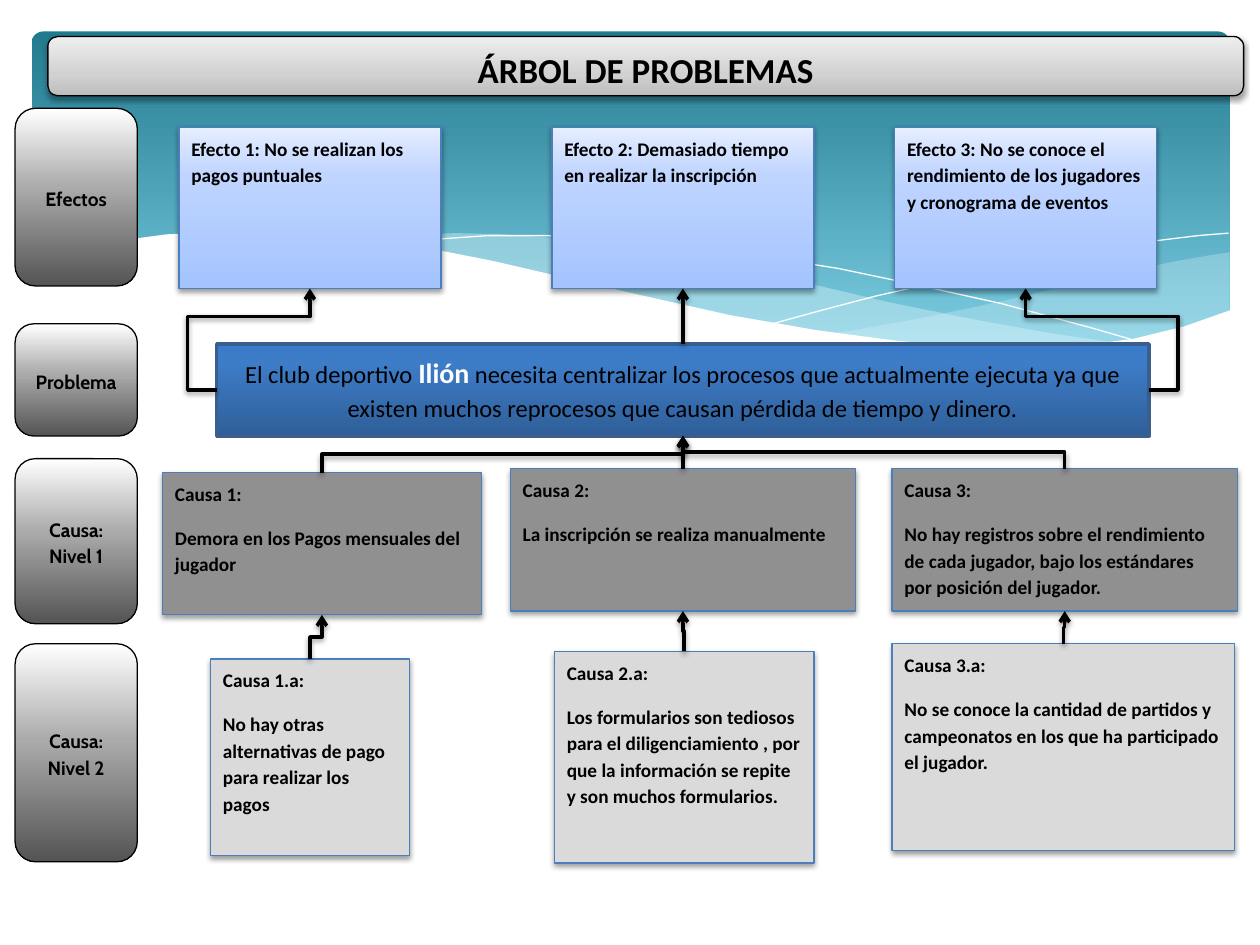
from dataclasses import dataclass

from lxml import etree
from pptx import Presentation
from pptx.dml.color import RGBColor
from pptx.enum.shapes import MSO_CONNECTOR, MSO_SHAPE
from pptx.enum.text import MSO_ANCHOR, PP_ALIGN
from pptx.oxml.ns import qn
from pptx.util import Inches, Pt

ELBOW = MSO_CONNECTOR.ELBOW
ROUNDED, PROCESS = MSO_SHAPE.ROUNDED_RECTANGLE, MSO_SHAPE.FLOWCHART_PROCESS
TITLE_BAR = MSO_SHAPE.FLOWCHART_ALTERNATE_PROCESS
LEFT, CENTER = PP_ALIGN.LEFT, PP_ALIGN.CENTER
TOP, MIDDLE = MSO_ANCHOR.TOP, MSO_ANCHOR.MIDDLE


@dataclass(frozen=True)
class Theme:
    # Gradients run from top to bottom as (position, colour)
    banner: tuple = ((0, "227A8F"), (90, "7ACBE0"))
    label: tuple = ((0, "FFFFFF"), (44, "ABABAB"), (100, "545454"))
    effect: tuple = ((0, "E6EEFF"), (30, "BFD4FF"), (100, "A4C4FF"))
    problem: tuple = ((0, "3A7CCB"), (20, "3D7CC7"), (100, "2F5F99"))
    title: tuple = ((0, "EEEEEE"), (65, "D1D1D1"), (100, "BDBDBD"))
    cause: str = "909090"
    subcause: str = "DADADA"
    wave: str = "DEF5FA"
    white: str = "FFFFFF"
    black: str = "000000"
    box_line: str = "4B7EBC"
    problem_line: str = "3A5F8C"
    body_font: str = "Calibri"
    label_font: str = "Cabin"
    small: int = 11
    medium: int = 14
    large: int = 16
    heading: int = 20


def write(frame, paragraphs, *, size, font, color, bold=True, align=LEFT, anchor=TOP):
    """Fill a frame; a paragraph is a string or a list of (text, overrides)."""
    frame.word_wrap = True
    frame.vertical_anchor = anchor
    for index, content in enumerate(paragraphs):
        paragraph = frame.paragraphs[0] if index == 0 else frame.add_paragraph()
        paragraph.alignment = align
        paragraph.line_spacing = 1.15
        paragraph.space_after = Pt(10)
        runs = [(content, {})] if isinstance(content, str) else content
        for text, overrides in runs:
            look = {"size": size, "color": color, "bold": bold, **overrides}
            run = paragraph.add_run()
            run.text = text
            run.font.name = font
            run.font.size = Pt(look["size"])
            run.font.bold = look["bold"]
            run.font.color.rgb = RGBColor.from_string(look["color"])


class TreeSlide:
    def __init__(self, slide, theme):
        self.shapes = slide.shapes
        self.theme = theme

    def shadow(self, shape):
        properties = shape._element.spPr
        effects = properties.find(qn("a:effectLst"))
        if effects is None:
            effects = etree.SubElement(properties, qn("a:effectLst"))
        outer = etree.SubElement(effects, qn("a:outerShdw"), blurRad=str(Pt(3.1)),
                                 dist=str(Pt(1.6)), dir="5400000", rotWithShape="0")
        color = etree.SubElement(outer, qn("a:srgbClr"), val=self.theme.black)
        etree.SubElement(color, qn("a:alpha"), val="38000")

    def paint(self, shape, fill, line=None, width=0.75, alpha=None):
        shape.shadow.inherit = False
        if fill is None:
            shape.fill.background()
        elif isinstance(fill, str):
            shape.fill.solid()
            shape.fill.fore_color.rgb = RGBColor.from_string(fill)
            if alpha:
                color = shape._element.spPr.find(qn("a:solidFill"))[0]
                etree.SubElement(color, qn("a:alpha"), val=str(alpha * 1000))
        else:
            shape.fill.gradient()
            shape.fill.gradient_angle = 270
            stops = shape._element.spPr.find(".//" + qn("a:gsLst"))
            for stop in list(stops):
                stops.remove(stop)
            for position, value in fill:
                stop = etree.SubElement(stops, qn("a:gs"), pos=str(position * 1000))
                etree.SubElement(stop, qn("a:srgbClr"), val=value)
        if line:
            shape.line.color.rgb = RGBColor.from_string(line)
            shape.line.width = Pt(width)
        else:
            shape.line.fill.background()

    def box(self, kind, place, fill, line=None, width=0.75, shadow=False):
        shape = self.shapes.add_shape(kind, *(Inches(v) for v in place))
        self.paint(shape, fill, line, width)
        if shadow:
            self.shadow(shape)
        return shape

    def curve(self, points, fill=None, line=None, alpha=None):
        start, *rest = [(Inches(x), Inches(y)) for x, y in points]
        builder = self.shapes.build_freeform(*start)
        builder.add_line_segments(rest, close=fill is not None)
        self.paint(builder.convert_to_shape(), fill, line, 0, alpha)

    def label(self, text, top, height):
        shape = self.box(ROUNDED, (0.12, top, 0.97, height), self.theme.label, self.theme.black)
        write(shape.text_frame, [text], size=self.theme.small, font=self.theme.label_font,
              color=self.theme.black, align=CENTER, anchor=MIDDLE)

    def card(self, paragraphs, place, fill):
        shape = self.box(PROCESS, place, fill, self.theme.box_line, shadow=True)
        write(shape.text_frame, paragraphs, size=self.theme.small,
              font=self.theme.body_font, color=self.theme.black)
        return shape

    def arrow(self, begin_x, begin_y, end_x, end_y):
        connector = self.shapes.add_connector(ELBOW, begin_x, begin_y, end_x, end_y)
        connector.line.color.rgb = RGBColor.from_string(self.theme.black)
        connector.line.width = Pt(2)
        etree.SubElement(connector.line._get_or_add_ln(), qn("a:tailEnd"), type="arrow")
        self.shadow(connector)
        return connector

    def rise(self, lower, upper):
        """Elbow from the top of one box up to the bottom of another."""
        x1, x2 = (box.left + box.width // 2 for box in (lower, upper))
        y1, y2 = lower.top, upper.top + upper.height
        mid_x, mid_y, run, climb = (x1 + x2) // 2, (y1 + y2) // 2, x2 - x1, y1 - y2
        connector = self.arrow(mid_x - climb // 2, mid_y - run // 2,
                               mid_x + climb // 2, mid_y + run // 2)
        connector.rotation = 270

    def side_loop(self, source, target, from_right):
        """Elbow that leaves sideways, then turns up and back to the target."""
        begin_x = source.left + (source.width if from_right else 0)
        end_x = target.left + target.width // 2
        connector = self.arrow(begin_x, source.top + source.height // 2,
                               end_x, target.top + target.height)
        geometry = connector._element.spPr.find(qn("a:prstGeom"))
        geometry.set("prst", "bentConnector4")
        overhang = -Inches(0.23) / abs(end_x - begin_x)
        for name, ratio in (("adj1", overhang), ("adj2", 0.725)):
            etree.SubElement(geometry.find(qn("a:avLst")), qn("a:gd"), name=name,
                             fmla=f"val {round(ratio * 100000)}")


def draw_background(tree):
    theme = tree.theme
    banner = tree.box(ROUNDED, (0.25, 0.25, 9.51, 2.7), theme.banner)
    banner.adjustments[0] = 0.034
    tree.curve([(9.76, 2), (9.35, 2.07), (8.91, 2.16), (8.05, 2.37), (7.29, 2.53), (6.61, 2.65),
                (7.05, 2.71), (7.45, 2.75), (8.03, 2.78), (8.54, 2.76), (8.97, 2.7),
                (9.35, 2.62), (9.76, 2.47)], theme.wave, alpha=29)
    tree.curve([(8.93, 2.73), (8.37, 2.65), (7.75, 2.54), (7.06, 2.4), (6.29, 2.22), (5.84, 2.11),
                (5.41, 2.03), (4.89, 1.94), (4.42, 1.89), (3.99, 1.86), (3.61, 1.85),
                (3.28, 1.87), (2.86, 1.91), (3.42, 1.99), (4.04, 2.11), (4.91, 2.32),
                (5.66, 2.48), (6.34, 2.61), (6.95, 2.7), (7.48, 2.76), (7.96, 2.78),
                (8.38, 2.78), (8.93, 2.73)], theme.wave, alpha=40)
    tree.curve([(3.09, 1.95), (3.44, 1.9), (3.87, 1.87), (4.33, 1.87), (4.89, 1.9), (5.56, 1.97),
                (6.08, 2.04), (6.65, 2.13), (7.27, 2.26), (7.95, 2.41), (8.69, 2.61),
                (9.07, 2.72)], line=theme.white)
    tree.curve([(6.13, 2.57), (6.53, 2.46), (6.95, 2.35), (7.48, 2.23), (8.06, 2.1), (8.66, 1.99),
                (9.1, 1.92), (9.51, 1.87), (9.75, 1.85)], line=theme.white)
    tree.curve([(9.77, 2.46), (9.4, 2.59), (8.99, 2.69), (8.5, 2.75), (8.09, 2.77), (7.61, 2.75),
                (7.08, 2.7), (6.48, 2.62), (5.79, 2.5), (5.03, 2.33), (4.47, 2.2), (3.91, 2.07),
                (3.4, 1.97), (2.92, 1.9), (2.5, 1.86), (2.11, 1.84), (1.77, 1.84), (1.32, 1.86),
                (0.95, 1.91), (0.67, 1.97), (0.4, 2.05), (0.23, 2.13), (0.23, 3.29),
                (9.77, 3.29)], theme.white)


def main():
    deck = Presentation()
    deck.slide_width, deck.slide_height = Inches(10), Inches(7.5)
    theme = Theme()
    tree = TreeSlide(deck.slides.add_slide(deck.slide_layouts[6]), theme)
    draw_background(tree)

    # Level labels
    for text, top, height in (("Efectos", 0.86, 1.41), ("Problema", 2.57, 0.89),
                              ("Causa: Nivel 1", 3.64, 1.31), ("Causa: Nivel 2", 5.11, 1.73)):
        tree.label(text, top, height)

    # Effects
    effects = [tree.card([text], (left, 1.01, 2.08, 1.28), theme.effect) for text, left in (
        ("Efecto 1: No se realizan los pagos puntuales", 1.42),
        ("Efecto 2: Demasiado tiempo en realizar la inscripción", 4.38),
        ("Efecto 3: No se conoce el rendimiento de los jugadores y cronograma de eventos", 7.1))]

    # Central problem
    problem = tree.box(PROCESS, (1.72, 2.73, 7.4, 0.73), theme.problem, theme.problem_line, 2)
    write(problem.text_frame, [[
        ("El club deportivo ", {}),
        ("Ilión", {"size": theme.large, "color": theme.white, "bold": True}),
        (" necesita centralizar los procesos que actualmente ejecuta ya que existen muchos "
         "reprocesos que causan pérdida de tiempo y dinero.", {})]],
        size=theme.medium, font=theme.body_font, color=theme.black, bold=False, align=CENTER)

    # Causes, first and second level
    causes = [tree.card(text, place, theme.cause) for text, place in (
        (["Causa 1:", "Demora en los Pagos mensuales del jugador"], (1.29, 3.75, 2.53, 1.13)),
        (["Causa 2:", "La inscripción se realiza manualmente"], (4.05, 3.72, 2.74, 1.13)),
        (["Causa 3:", "No hay registros sobre el rendimiento de cada jugador, bajo los "
          "estándares por posición del jugador."], (7.08, 3.72, 2.74, 1.13)))]
    subcauses = [tree.card(text, place, theme.subcause) for text, place in (
        (["Causa 1.a:", "No hay otras alternativas de pago para realizar los pagos"],
         (1.67, 5.23, 1.58, 1.56)),
        (["Causa 2.a:", "Los formularios son tediosos para el diligenciamiento , por que la "
          "información se repite y son muchos formularios."], (4.4, 5.17, 2.06, 1.68)),
        (["Causa 3.a:", "No se conoce la cantidad de partidos y campeonatos en los que ha "
          "participado el jugador."], (7.08, 5.11, 2.72, 1.64)))]

    # Arrows from causes to effects
    for subcause, cause in zip(subcauses, causes):
        tree.rise(subcause, cause)
        tree.rise(cause, problem)
    tree.side_loop(problem, effects[0], from_right=False)
    tree.rise(problem, effects[1])
    tree.side_loop(problem, effects[2], from_right=True)

    # Title
    title = tree.box(TITLE_BAR, (0.38, 0.29, 9.49, 0.47), theme.title, theme.black, shadow=True)
    write(title.text_frame, ["ÁRBOL DE PROBLEMAS"], size=theme.heading, font=theme.body_font,
          color=theme.black, align=CENTER, anchor=MIDDLE)
    deck.save("out.pptx")


if __name__ == "__main__":
    main()
